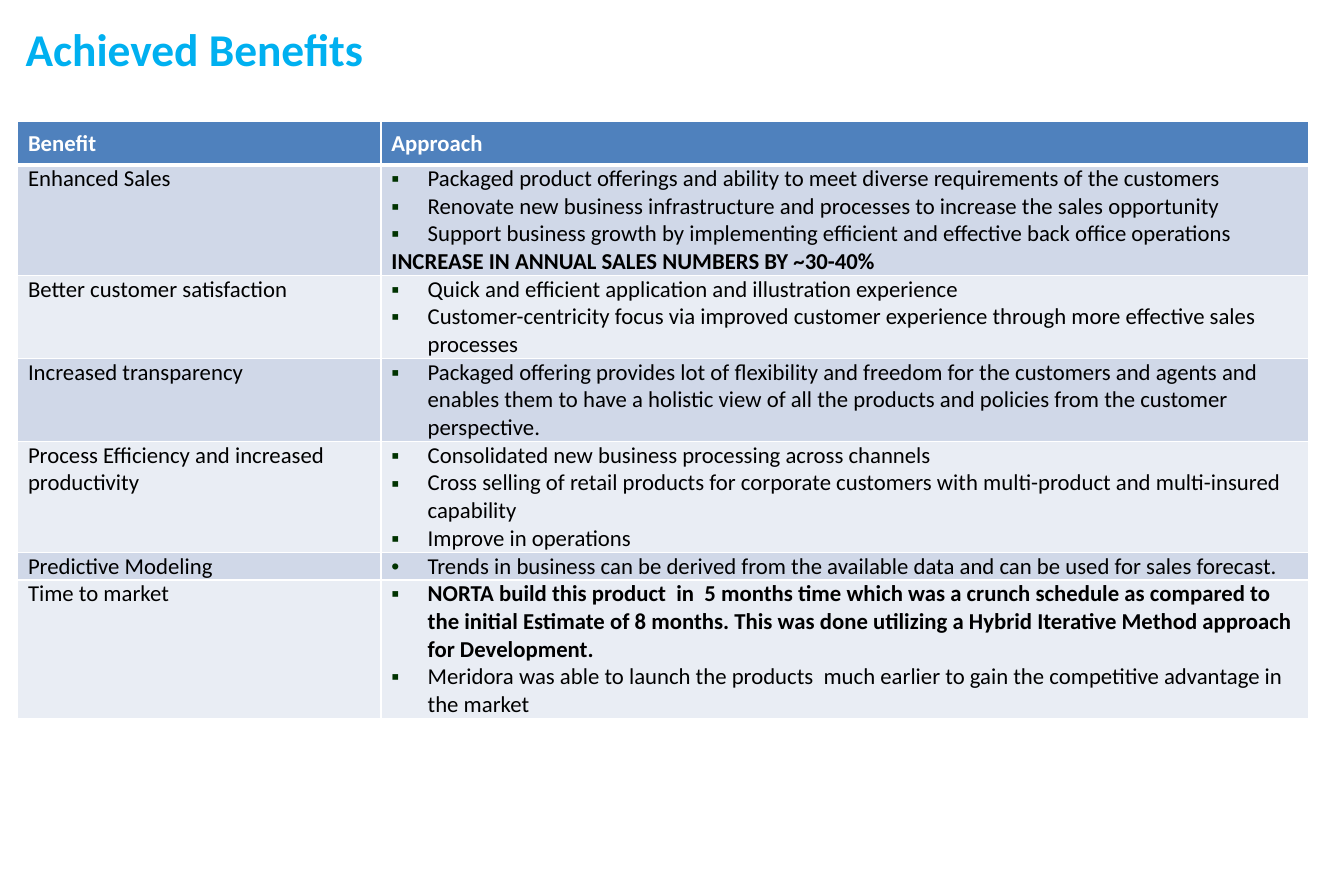
from dataclasses import dataclass

from lxml import etree
from pptx import Presentation
from pptx.dml.color import RGBColor
from pptx.enum.text import MSO_ANCHOR, PP_ALIGN
from pptx.oxml.ns import qn
from pptx.util import Inches, Pt

LEFT = PP_ALIGN.LEFT
TOP = MSO_ANCHOR.TOP
MIDDLE = MSO_ANCHOR.MIDDLE
SQUARE, DOT = "▪", "•"


@dataclass(frozen=True)
class Theme:
    font: str = "Calibri"
    title_size: int = 28
    body_size: int = 14
    title: str = "00B0F0"
    header: str = "4F81BD"
    bands: tuple = ("D0D8E8", "E9EDF4")
    white: str = "FFFFFF"
    text: str = "000000"
    bullet: str = "003300"
    thin_line: int = 1
    header_line: int = 3


@dataclass(frozen=True)
class Item:
    text: str
    bullet: str = SQUARE
    bold: bool = False


BENEFITS = [
    ("Enhanced Sales", 4, [
        Item("Packaged product offerings and ability to meet diverse requirements of the customers"),
        Item("Renovate new business infrastructure and processes to increase the sales opportunity"),
        Item("Support business growth by implementing efficient and effective back office operations"),
        Item("INCREASE IN ANNUAL SALES NUMBERS BY ~30-40%", "", True),
    ]),
    ("Better customer satisfaction", 3, [
        Item("Quick and efficient application and illustration experience"),
        Item("Customer-centricity focus via improved customer experience through more effective sales "
             "processes"),
    ]),
    ("Increased transparency", 3, [
        Item("Packaged offering provides lot of flexibility and freedom for the customers and agents and "
             "enables them to have a holistic view of all the products and policies from the customer "
             "perspective."),
    ]),
    ("Process Efficiency and increased productivity", 4, [
        Item("Consolidated new business processing across channels"),
        Item("Cross selling of retail products for corporate customers with multi-product and "
             "multi-insured capability"),
        Item("Improve in operations"),
    ]),
    ("Predictive Modeling", 1, [
        Item("Trends in business can be derived from the available data and can be used for sales "
             "forecast.", DOT),
    ]),
    ("Time to market", 5, [
        Item("NORTA build this product  in  5 months time which was a crunch schedule as compared to the "
             "initial Estimate of 8 months. This was done utilizing a Hybrid Iterative Method approach "
             "for Development.", SQUARE, True),
        Item("Meridora was able to launch the products  much earlier to gain the competitive advantage in "
             "the market"),
    ]),
]


def apply(target, values):
    for name, value in values.items():
        setattr(target, name, value)


class PageBuilder:
    def __init__(self, page, theme):
        self.page = page
        self.theme = theme

    def add_text(self, para, text, size, color, bold):
        para.alignment = LEFT
        span = para.add_run()
        span.text = text
        apply(span.font, {"name": self.theme.font, "size": Pt(size), "bold": bold})
        span.font.color.rgb = RGBColor.from_string(color)

    def title(self, text):
        box = self.page.shapes.title
        apply(box, {"left": Inches(0.12), "top": Inches(-0.07),
                    "width": Inches(10.04), "height": Inches(1.1)})
        apply(box.text_frame, {"word_wrap": True, "vertical_anchor": MIDDLE,
                               "margin_left": Inches(0.1), "margin_right": Inches(0.1),
                               "margin_top": Inches(0.05), "margin_bottom": Inches(0.11)})
        para = box.text_frame.paragraphs[0]
        para.line_spacing = Pt(28)
        self.add_text(para, text, self.theme.title_size, self.theme.title, True)

    def bullet(self, para, mark):
        properties = para._p.get_or_add_pPr()
        indents = {"marL": Inches(0.31), "indent": Inches(-0.31)}
        for name, value in indents.items():
            properties.set(name, str(int(value)))
        color = etree.SubElement(properties, qn("a:buClr"))
        etree.SubElement(color, qn("a:srgbClr"), val=self.theme.bullet)
        etree.SubElement(properties, qn("a:buFont"), typeface="Arial")
        etree.SubElement(properties, qn("a:buChar"), char=mark)

    def borders(self, cell, top, bottom):
        thin = self.theme.thin_line
        widths = {"a:lnL": thin, "a:lnR": thin, "a:lnT": top, "a:lnB": bottom}
        properties = cell._tc.get_or_add_tcPr()
        for position, (tag, width) in enumerate(widths.items()):
            line = etree.Element(qn(tag), w=str(int(Pt(width))))
            fill = etree.SubElement(line, qn("a:solidFill"))
            etree.SubElement(fill, qn("a:srgbClr"), val=self.theme.white)
            properties.insert(position, line)

    def cell(self, cell, items, row):
        theme = self.theme
        heading = row == 0
        apply(cell, {"margin_left": Inches(0.09), "margin_right": Inches(0.09),
                     "margin_top": 0, "margin_bottom": 0,
                     "vertical_anchor": MIDDLE if heading else TOP})
        cell.fill.solid()
        fill = theme.header if heading else theme.bands[(row - 1) % 2]
        cell.fill.fore_color.rgb = RGBColor.from_string(fill)
        self.borders(cell, theme.header_line if row == 1 else theme.thin_line,
                     theme.header_line if heading else theme.thin_line)
        for index, item in enumerate(items):
            frame = cell.text_frame
            para = frame.add_paragraph() if index else frame.paragraphs[0]
            self.add_text(para, item.text, theme.body_size,
                          theme.white if heading else theme.text, item.bold)
            if item.bullet:
                self.bullet(para, item.bullet)

    def benefit_table(self, headings, benefits):
        rows = [[[Item(text, "", True)] for text in headings]]
        rows += [[[Item(name, "")], items] for name, _, items in benefits]
        heights = [0.37] + [0.23 * lines for _, lines, _ in benefits]
        table = self.page.shapes.add_table(
            len(rows), len(headings), Inches(0.15), Inches(1.04),
            Inches(11.05), Inches(sum(heights))).table
        table.horz_banding = False
        for column, width in zip(table.columns, (3.11, 7.94)):
            column.width = Inches(width)
        for row, (cells, height) in enumerate(zip(rows, heights)):
            table.rows[row].height = Inches(height)
            for column, items in enumerate(cells):
                self.cell(table.cell(row, column), items, row)


def main():
    deck = Presentation()
    apply(deck, {"slide_width": Inches(11.5), "slide_height": Inches(7.5)})
    page = deck.slides.add_slide(deck.slide_layouts[5])
    builder = PageBuilder(page, Theme())
    builder.title("Achieved Benefits")
    builder.benefit_table(("Benefit", "Approach"), BENEFITS)
    deck.save("out.pptx")


if __name__ == "__main__":
    main()
